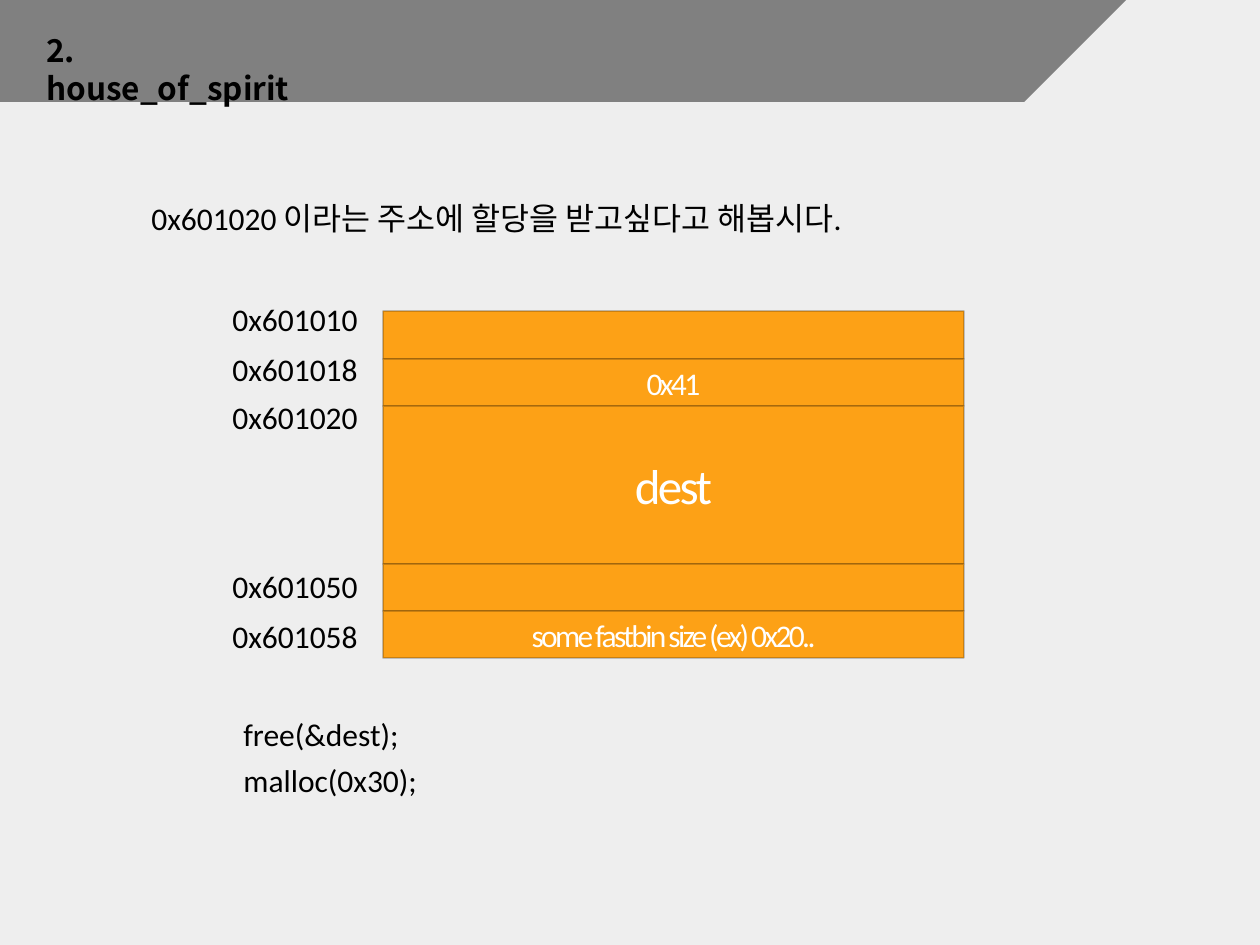
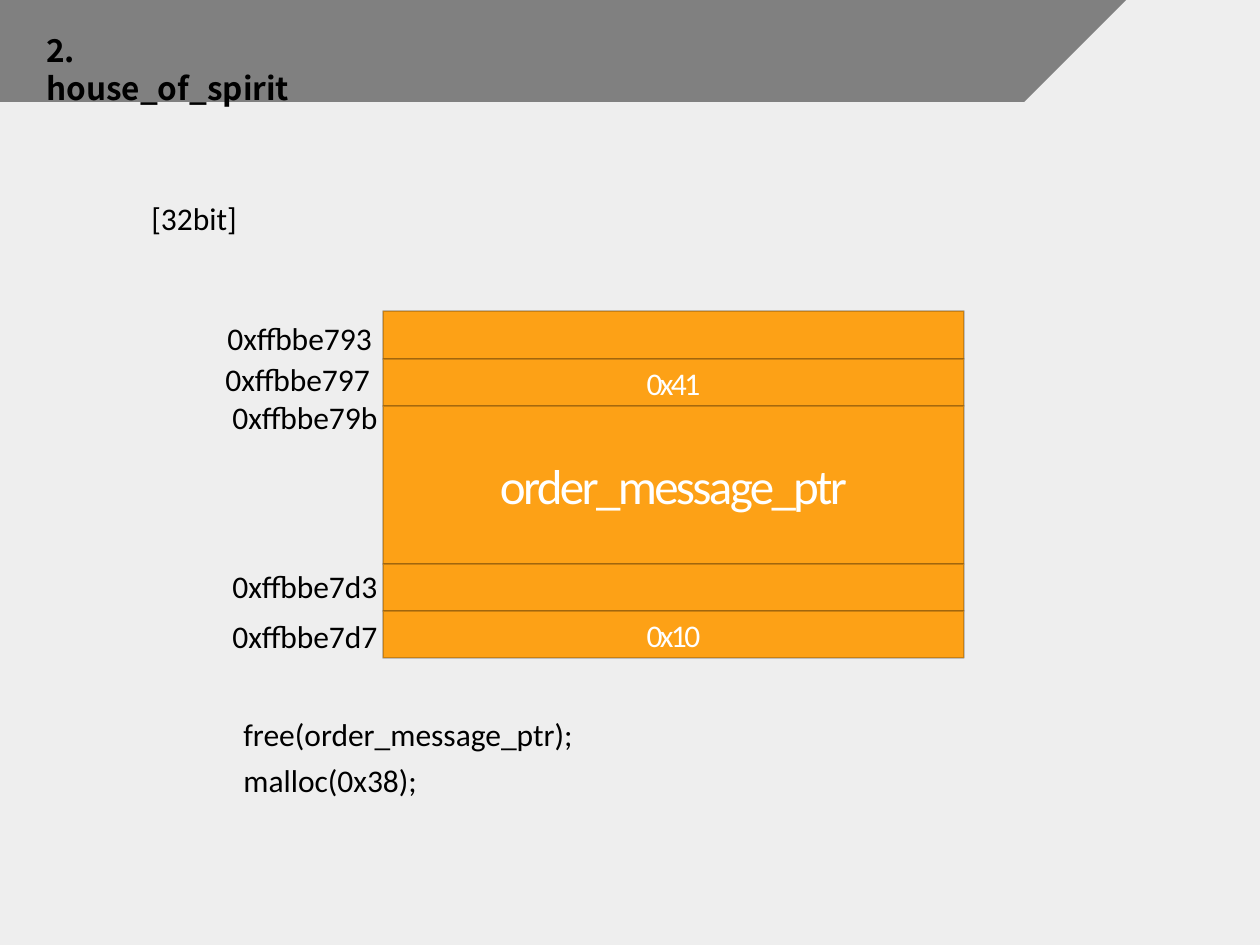
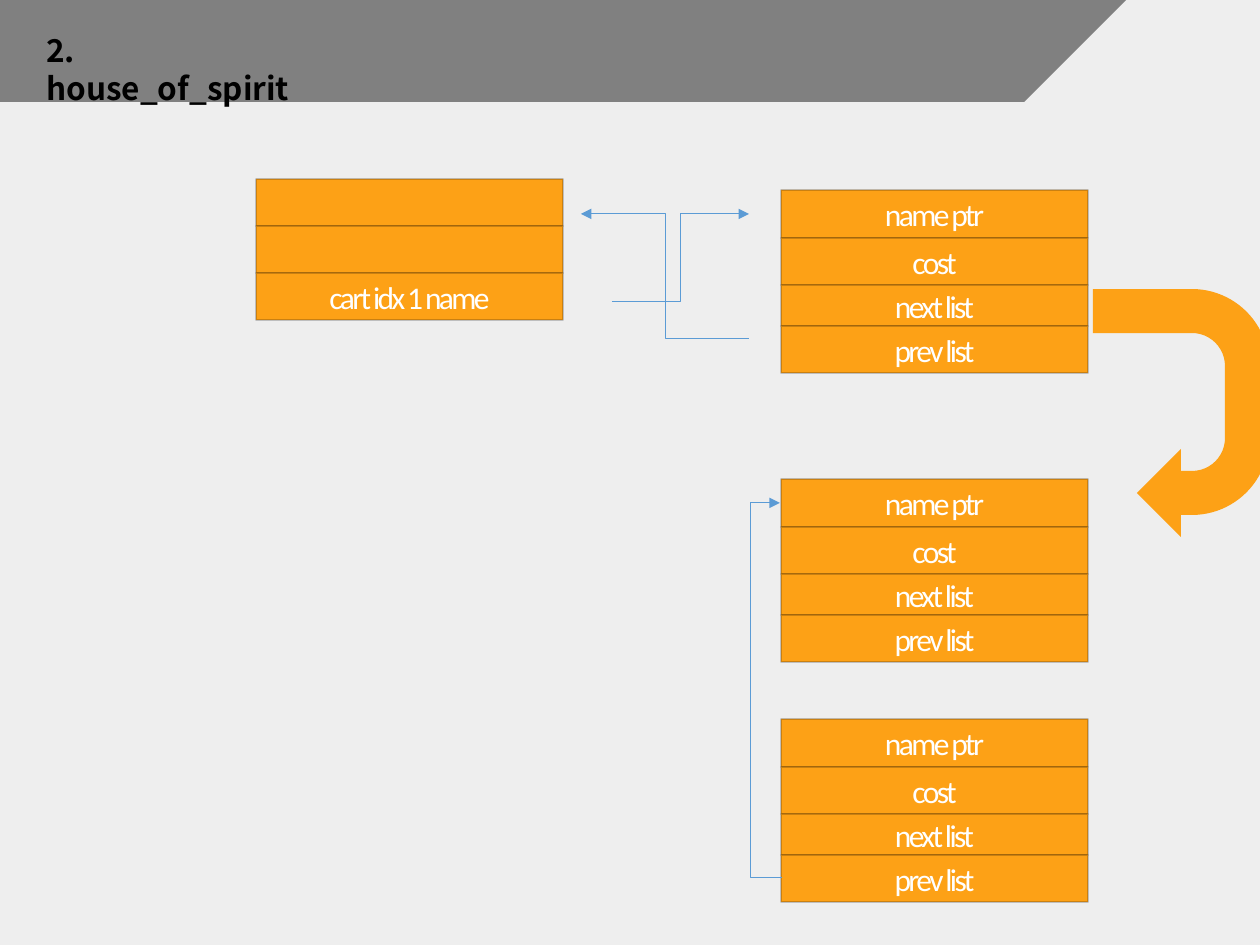
from lxml.etree import SubElement
from pptx import Presentation
from pptx.dml.color import RGBColor
from pptx.enum.shapes import MSO_CONNECTOR, MSO_SHAPE
from pptx.enum.text import MSO_ANCHOR, MSO_AUTO_SIZE, PP_ALIGN
from pptx.oxml.ns import qn
from pptx.util import Pt

PX = 914400 / 126
WIDTH, HEIGHT = 1260, 945
BACKGROUND, BAND, BLOCK, LINK = "EEEEEE", "808080", "FDA116", "5B9BD5"
BLACK, WHITE = "000000", "FFFFFF"
BODY_FONT, TITLE_FONT = "Calibri", "Noto Sans CJK KR"
NODE_ROWS = [("name ptr", 48), ("cost", 47), ("next list", 41), ("prev list", 47)]


def emu(*lengths):
    """Turn px lengths into EMU."""
    return [round(length * PX) for length in lengths]


def rgb(code):
    """Turn a hex string into a colour."""
    return RGBColor.from_string(code)


def write(frame, text, size=18, font=BODY_FONT, color=BLACK, bold=False,
          align=PP_ALIGN.LEFT, spacing=None):
    """Write one formatted paragraph into a text frame."""
    paragraph = frame.paragraphs[0]
    paragraph.alignment = align
    run = paragraph.add_run()
    run.text = text
    run.font.size = Pt(size)
    run.font.name = font
    run.font.bold = bold
    run.font.color.rgb = rgb(color)
    if spacing is not None:
        run.font._element.set("spc", str(round(spacing * 100)))


class Deck:
    """Hold the shared style and the current slide."""

    def __init__(self):
        """Start an empty deck."""
        self.presentation = Presentation()
        self.presentation.slide_width, self.presentation.slide_height = emu(WIDTH, HEIGHT)
        self.slide = None

    def start_slide(self, title):
        """Add a slide with its background, band and title."""
        self.slide = self.presentation.slides.add_slide(self.presentation.slide_layouts[6])
        background = self.slide.background.fill
        background.solid()
        background.fore_color.rgb = rgb(BACKGROUND)
        self.shape(MSO_SHAPE.PENTAGON, 0, -102, 1126, 204, BAND)
        self.label(title, 34, 25, 296, wrap=True, font=TITLE_FONT, bold=True)

    def shape(self, preset, left, top, width, height, color):
        """Add a filled preset shape without outline."""
        shape = self.slide.shapes.add_shape(preset, *emu(left, top, width, height))
        shape.shadow.inherit = False
        shape.fill.solid()
        shape.fill.fore_color.rgb = rgb(color)
        shape.line.fill.background()
        return shape

    def label(self, text, left, top, width, wrap=False, **style):
        """Add a one-line text box."""
        box = self.slide.shapes.add_textbox(*emu(left, top, width, 50))
        box.text_frame.word_wrap = wrap
        box.text_frame.auto_size = MSO_AUTO_SIZE.SHAPE_TO_FIT_TEXT
        write(box.text_frame, text, **style)

    def block(self, text, left, top, width, height, size=18):
        """Add a memory block with a faint outline."""
        block = self.shape(MSO_SHAPE.RECTANGLE, left, top, width, height, BLOCK)
        block.line.color.rgb = rgb(BLACK)
        block.line.width = Pt(1)
        outline_color = block.line._ln.find(".//" + qn("a:srgbClr"))
        SubElement(outline_color, qn("a:alpha"), val="20000")
        block.text_frame.vertical_anchor = MSO_ANCHOR.MIDDLE
        if text:
            write(block.text_frame, text, size=size, color=WHITE,
                  align=PP_ALIGN.CENTER, spacing=-1.5)

    def stack(self, rows, left, top, width):
        """Pile blocks downwards from (text, height[, size]) rows."""
        for text, height, *size in rows:
            self.block(text, left, top, width, height, *size)
            top += height

    def link(self, start, end, bend=50000):
        """Add an elbow arrow from start to end."""
        link = self.slide.shapes.add_connector(MSO_CONNECTOR.ELBOW, *emu(*start, *end))
        link.line.color.rgb = rgb(LINK)
        link.line.width = Pt(0.5)
        SubElement(link.line._ln, qn("a:tailEnd"), type="triangle")
        properties = link._element.spPr
        SubElement(properties, qn("a:effectLst"))
        guides = properties.find(qn("a:prstGeom")).get_or_add_avLst()
        SubElement(guides, qn("a:gd"), name="adj1", fmla=f"val {bend}")

    def memory_slide(self, title, heading, target, next_size, addresses, calls):
        """Add a slide showing a fake chunk and the calls that use it."""
        self.start_slide(title)
        self.label(heading, 139, 193, 1071, wrap=True)
        self.stack([("", 48), ("0x41", 47), (target, 158, 28), ("", 47), (next_size, 47)],
                   383, 311, 581)
        for address, left, top, width in addresses:
            self.label(address, left, top, width)
        for index, call in enumerate(calls):
            self.label(call, 231, 709 + 46 * index, 725, wrap=True)


def main():
    """Build the three slides."""
    deck = Deck()
    title = "2. house_of_spirit"
    deck.memory_slide(
        title, "0x601020 이라는 주소에 할당을 받고싶다고 해봅시다.", "dest",
        "some fastbin size (ex) 0x20..",
        [("0x601010", 220, 294, 152), ("0x601018", 220, 344, 152),
         ("0x601020", 220, 392, 152), ("0x601050", 220, 561, 152),
         ("0x601058", 220, 611, 152)],
        ["free(&dest);", "malloc(0x30);"])
    deck.memory_slide(
        title, "[32bit]", "order_message_ptr", "0x10",
        [("0xffbbe793", 215, 313, 173), ("0xffbbe797", 213, 354, 173),
         ("0xffbbe79b", 220, 392, 173), ("0xffbbe7d3", 220, 561, 173),
         ("0xffbbe7d7", 220, 611, 173)],
        ["free(order_message_ptr);", "malloc(0x38);"])

    deck.start_slide(title)
    deck.stack([("", 47), ("", 47), ("cart idx 1 name", 47)], 256, 179, 307)
    for node_top in (190, 479, 719):
        deck.stack(NODE_ROWS, 781, node_top, 307)
    deck.link((612, 302), (749, 214))
    deck.link((749, 339), (581, 214))
    next_arrow = deck.shape(MSO_SHAPE.U_TURN_ARROW, 1057, 325, 248, 176, BLOCK)
    next_arrow.rotation = 90
    deck.link((782, 878), (780, 503), bend=1600000)
    deck.presentation.save("out.pptx")


if __name__ == "__main__":
    main()
